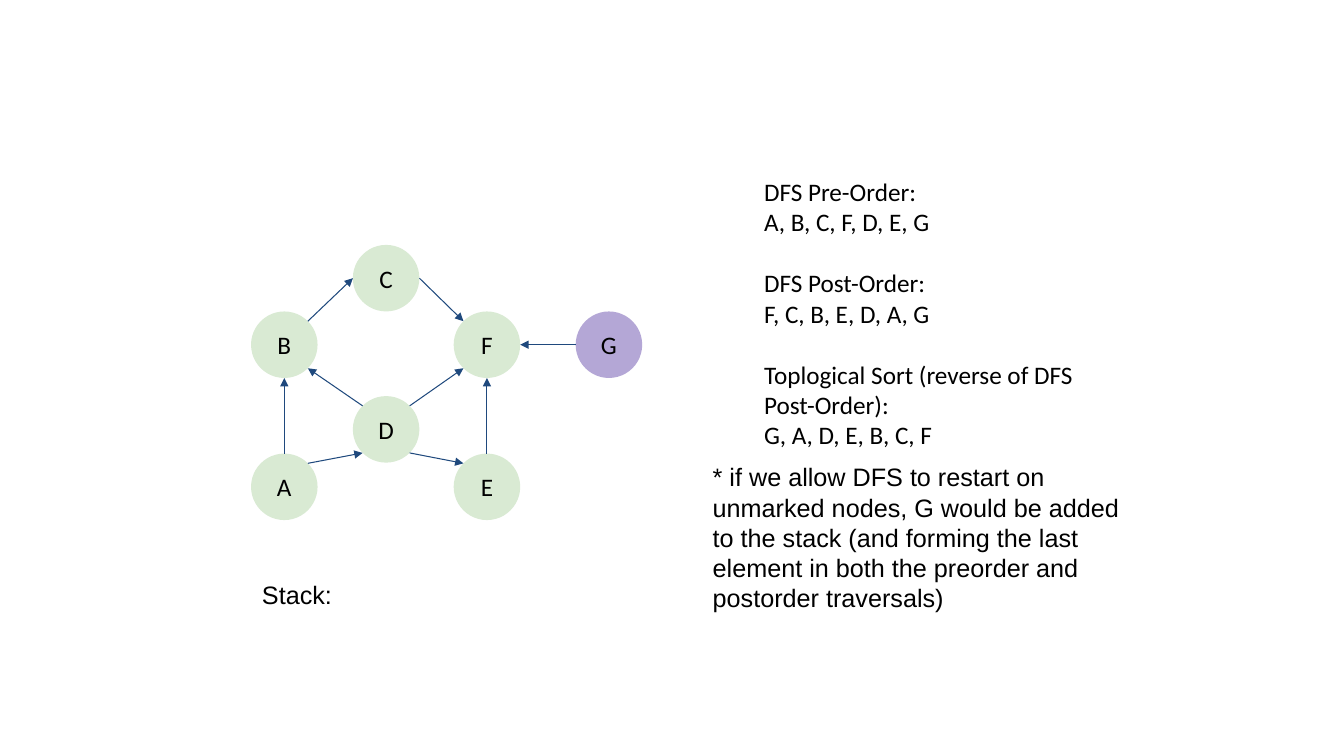
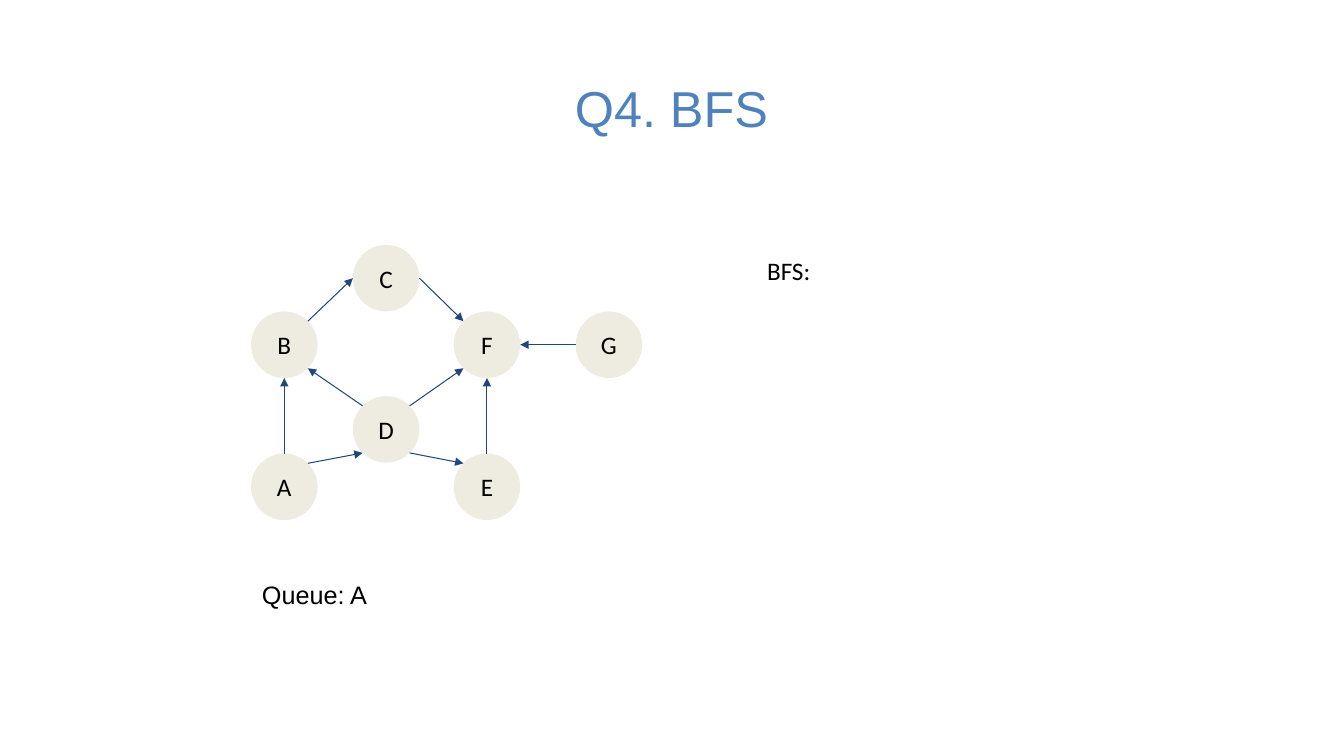
"""Build two slides that traverse one directed graph depth first and breadth first."""

import math
from dataclasses import dataclass
from enum import IntEnum

import pptx
import pptx.dml.color
import pptx.enum.shapes
import pptx.enum.text
import pptx.oxml.ns
import pptx.shapes.autoshape
import pptx.slide
import pptx.util
from lxml import etree

Inches = pptx.util.Inches
Pt = pptx.util.Pt
PP_ALIGN = pptx.enum.text.PP_ALIGN
MSO_ANCHOR = pptx.enum.text.MSO_ANCHOR

COLOURS = {
    "text": "000000",
    "title": "4F81BD",
    "edge": "1F497D",
    "visited": "D9EAD3",
    "restarted": "B4A7D6",
    "unvisited": "EEECE1",
}
BODY_FONT = "Arial"
GRAPH_FONT = "Calibri"
DIAMETER = 0.66
INSET = 0.1
BLOCK_GAP = 22


class Site(IntEnum):
    """Connection sites of an ellipse, counterclockwise from the top."""

    TOP = 0
    TOP_LEFT = 1
    LEFT = 2
    BOTTOM_LEFT = 3
    BOTTOM = 4
    BOTTOM_RIGHT = 5
    RIGHT = 6
    TOP_RIGHT = 7


@dataclass(frozen=True)
class Node:
    """A labelled circle placed by its centre in inches."""

    label: str
    x: float
    y: float

    def site_point(self, site: Site) -> tuple[int, int]:
        """Return the position of a connection site on the circle."""
        angle = site * math.pi / 4
        radius = DIAMETER / 2
        return (
            Inches(self.x - radius * math.sin(angle)),
            Inches(self.y - radius * math.cos(angle)),
        )


@dataclass(frozen=True)
class Edge:
    """A directed edge between the sites of two nodes."""

    start: str
    start_site: Site
    end: str
    end_site: Site


NODES = {
    node.label: node
    for node in (
        Node("A", 2.82, 4.83),
        Node("B", 2.82, 3.42),
        Node("D", 3.83, 4.26),
        Node("E", 4.83, 4.83),
        Node("F", 4.83, 3.42),
        Node("C", 3.83, 2.76),
        Node("G", 6.04, 3.42),
    )
}
EDGES = (
    Edge("A", Site.TOP, "B", Site.BOTTOM),
    Edge("A", Site.TOP_RIGHT, "D", Site.BOTTOM_LEFT),
    Edge("D", Site.TOP_LEFT, "B", Site.BOTTOM_RIGHT),
    Edge("B", Site.TOP_RIGHT, "C", Site.LEFT),
    Edge("D", Site.TOP_RIGHT, "F", Site.BOTTOM_LEFT),
    Edge("D", Site.BOTTOM_RIGHT, "E", Site.TOP_LEFT),
    Edge("E", Site.TOP, "F", Site.BOTTOM),
    Edge("C", Site.RIGHT, "F", Site.TOP_LEFT),
    Edge("G", Site.LEFT, "F", Site.RIGHT),
)
DFS_BLOCKS = (
    ("DFS Pre-Order:", "A, B, C, F, D, E, G"),
    ("DFS Post-Order:", "F, C, B, E, D, A, G"),
    ("Toplogical Sort (reverse of DFS Post-Order):", "G, A, D, E, B, C, F"),
)
RESTART_NOTE = (
    "* if we allow DFS to restart on unmarked nodes, G would be added to the stack "
    "(and forming the last element in both the preorder and postorder traversals)"
)


def colour(name: str) -> pptx.dml.color.RGBColor:
    """Look up a named colour."""
    return pptx.dml.color.RGBColor.from_string(COLOURS[name])


def write_text(
    box: pptx.shapes.autoshape.Shape,
    blocks: tuple[tuple[str, ...], ...],
    *,
    font: str = BODY_FONT,
    size: float = 18,
    ink: str = "text",
    align: PP_ALIGN = PP_ALIGN.LEFT,
    anchor: MSO_ANCHOR = MSO_ANCHOR.TOP,
) -> None:
    """Fill a shape with blocks of paragraphs, spacing the blocks apart."""
    frame = box.text_frame
    frame.word_wrap = True
    frame.vertical_anchor = anchor
    frame.margin_left = frame.margin_right = Inches(INSET)
    frame.margin_top = frame.margin_bottom = Inches(INSET)
    para = frame.paragraphs[0]
    for block_index, block in enumerate(blocks):
        for line_index, line in enumerate(block):
            if block_index or line_index:
                para = frame.add_paragraph()
            if block_index and not line_index:
                para.space_before = Pt(BLOCK_GAP)
            para.alignment = align
            span = para.add_run()
            span.text = line
            span.font.name = font
            span.font.size = Pt(size)
            span.font.color.rgb = colour(ink)


def add_text(
    page: pptx.slide.Slide,
    left: float,
    top: float,
    width: float,
    height: float,
    blocks: tuple[tuple[str, ...], ...],
    **text_format,
) -> None:
    """Place a text box, measured in inches."""
    box = page.shapes.add_textbox(
        Inches(left), Inches(top), Inches(width), Inches(height)
    )
    write_text(box, blocks, **text_format)


def add_node(
    page: pptx.slide.Slide, node: Node, fill: str
) -> pptx.shapes.autoshape.Shape:
    """Draw one node and return its circle."""
    circle = page.shapes.add_shape(
        pptx.enum.shapes.MSO_SHAPE.OVAL,
        Inches(node.x - DIAMETER / 2),
        Inches(node.y - DIAMETER / 2),
        Inches(DIAMETER),
        Inches(DIAMETER),
    )
    circle.shadow.inherit = False
    circle.fill.solid()
    circle.fill.fore_color.rgb = colour(fill)
    circle.line.fill.background()
    write_text(
        circle,
        ((node.label,),),
        font=GRAPH_FONT,
        align=PP_ALIGN.CENTER,
        anchor=MSO_ANCHOR.MIDDLE,
    )
    return circle


def add_edge(
    page: pptx.slide.Slide,
    edge: Edge,
    circles: dict[str, pptx.shapes.autoshape.Shape],
) -> None:
    """Draw an arrow joined to the ellipse sites at both ends."""
    qualified = pptx.oxml.ns.qn
    arrow = page.shapes.add_connector(
        pptx.enum.shapes.MSO_CONNECTOR.STRAIGHT,
        *NODES[edge.start].site_point(edge.start_site),
        *NODES[edge.end].site_point(edge.end_site),
    )
    arrow.line.color.rgb = colour("edge")
    arrow.line.width = Pt(0.75)
    properties = arrow.element.spPr
    outline = properties.find(qualified("a:ln"))
    etree.SubElement(outline, qualified("a:tailEnd"), type="triangle")
    etree.SubElement(properties, qualified("a:effectLst"))
    joints = next(arrow.element.iter(qualified("p:cNvCxnSpPr")))
    for tag, label, site in (
        ("a:stCxn", edge.start, edge.start_site),
        ("a:endCxn", edge.end, edge.end_site),
    ):
        etree.SubElement(
            joints,
            qualified(tag),
            id=str(circles[label].shape_id),
            idx=str(site.value),
        )


def add_graph(
    page: pptx.slide.Slide, fill: str, highlights: dict[str, str]
) -> None:
    """Draw the whole graph, with some nodes filled differently."""
    circles = {
        label: add_node(page, node, highlights.get(label, fill))
        for label, node in NODES.items()
    }
    for edge in EDGES:
        add_edge(page, edge, circles)


def add_traversal_page(
    deck, fill: str, highlights: dict[str, str], store: str
) -> pptx.slide.Slide:
    """Add a page with the graph and the line naming its stack or queue."""
    page = deck.slides.add_slide(deck.slide_layouts[6])
    add_graph(page, fill, highlights)
    add_text(page, 2.5, 5.65, 8.02, 0.5, ((store,),))
    return page


def main() -> None:
    """Build and save the deck."""
    deck = pptx.Presentation()
    deck.slide_width = Inches(13.33)
    deck.slide_height = Inches(7.5)

    depth_page = add_traversal_page(deck, "visited", {"G": "restarted"}, "Stack:")
    add_text(depth_page, 7.48, 1.65, 3.46, 2.93, DFS_BLOCKS, font=GRAPH_FONT)
    add_text(depth_page, 6.97, 4.48, 4.35, 1.41, ((RESTART_NOTE,),))

    breadth_page = add_traversal_page(deck, "unvisited", {}, "Queue: A")
    add_text(breadth_page, 7.51, 2.43, 2.43, 1.11, (("BFS:",),), font=GRAPH_FONT)
    add_text(
        breadth_page,
        0.45,
        0.65,
        12.42,
        0.84,
        (("Q4. BFS",),),
        size=36,
        ink="title",
        align=PP_ALIGN.CENTER,
        anchor=MSO_ANCHOR.MIDDLE,
    )
    deck.save("out.pptx")


if __name__ == "__main__":
    main()
